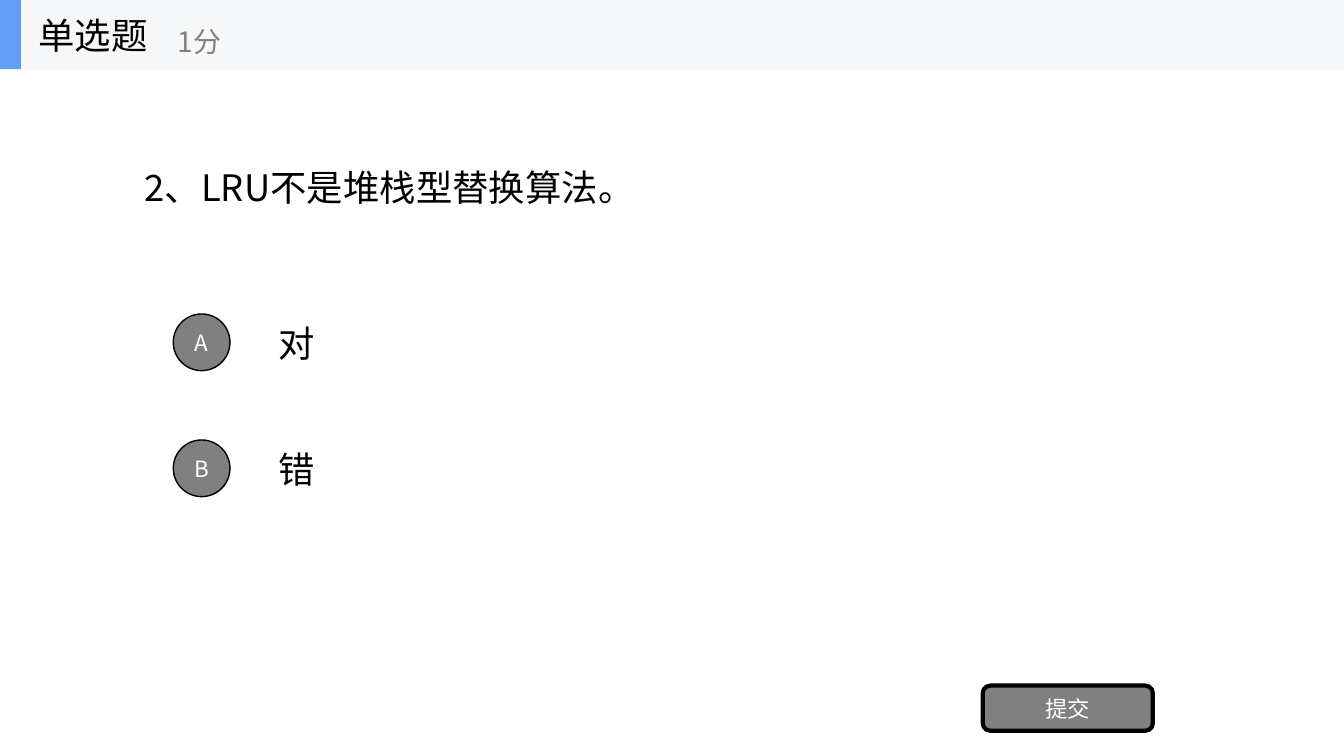
from dataclasses import dataclass

from lxml.etree import SubElement
from pptx import Presentation
from pptx.dml.color import RGBColor
from pptx.enum.shapes import MSO_SHAPE
from pptx.enum.text import MSO_ANCHOR, MSO_AUTO_SIZE, PP_ALIGN
from pptx.oxml.ns import qn
from pptx.util import Emu, Pt

EMU_PER_PX = 9525


def px(length):
    return Emu(length * EMU_PER_PX)


@dataclass(frozen=True)
class Theme:
    font: str = "Noto Sans CJK SC"
    ink: str = "000000"
    gray: str = "808080"
    white: str = "FFFFFF"
    header: str = "F6F7F8"
    accent: str = "639EF4"
    body_size: int = 26
    points_size: int = 20
    button_size: int = 16


class QuizSlide:
    def __init__(self, presentation, theme):
        self.theme = theme
        self.slide = presentation.slides.add_slide(presentation.slide_layouts[5])

    def set_text(self, shape, text, size, color, align=PP_ALIGN.LEFT):
        frame = shape.text_frame
        frame.word_wrap = True
        frame.auto_size = MSO_AUTO_SIZE.NONE
        frame.vertical_anchor = MSO_ANCHOR.MIDDLE
        paragraph = frame.paragraphs[0]
        paragraph.alignment = align
        run = paragraph.add_run()
        run.text = text
        run.font.size = Pt(size)
        run.font.color.rgb = RGBColor.from_string(color)
        run.font.name = self.theme.font
        # East Asian glyphs take their own typeface entry
        SubElement(run._r.get_or_add_rPr(), qn("a:ea"), typeface=self.theme.font)

    def title(self, text, left, top, width, height):
        shape = self.slide.shapes.title
        shape.left, shape.top = px(left), px(top)
        shape.width, shape.height = px(width), px(height)
        self.set_text(shape, text, self.theme.body_size, self.theme.ink)

    def label(self, text, left, top, width, height, size, color):
        box = self.slide.shapes.add_textbox(px(left), px(top), px(width), px(height))
        self.set_text(box, text, size, color)

    def block(self, kind, left, top, width, height, fill):
        shape = self.slide.shapes.add_shape(kind, px(left), px(top), px(width), px(height))
        shape.shadow.inherit = False
        shape.fill.solid()
        shape.fill.fore_color.rgb = RGBColor.from_string(fill)
        shape.line.fill.background()
        return shape

    def button(self, kind, text, left, top, width, height, line_width):
        shape = self.block(kind, left, top, width, height, self.theme.gray)
        shape.line.color.rgb = RGBColor.from_string(self.theme.ink)
        shape.line.width = Pt(line_width)
        frame = shape.text_frame
        frame.margin_left = frame.margin_right = 0
        frame.margin_top = frame.margin_bottom = 0
        self.set_text(shape, text, self.theme.button_size, self.theme.white, PP_ALIGN.CENTER)


def main():
    presentation = Presentation()
    presentation.slide_width, presentation.slide_height = px(1280), px(720)
    theme = Theme()
    quiz = QuizSlide(presentation, theme)

    # Question
    quiz.title("2、LRU不是堆栈型替换算法。", 128, 66, 1024, 225)

    # Answer options
    first_top, pitch = 293, 120
    for index, (letter, answer) in enumerate([("A", "对"), ("B", "错")]):
        top = first_top + index * pitch
        quiz.label(answer, 256, top, 896, 67, theme.body_size, theme.ink)
        quiz.button(MSO_SHAPE.OVAL, letter, 165, top + 6, 54, 54, 1)

    # Submit button
    quiz.button(MSO_SHAPE.ROUNDED_RECTANGLE, "提交", 936, 653, 162, 43, 3)

    # Header bar with question type and points
    quiz.block(MSO_SHAPE.RECTANGLE, 0, 0, 1280, 66, theme.header)
    quiz.block(MSO_SHAPE.RECTANGLE, 0, 0, 20, 66, theme.accent)
    quiz.label("单选题", 27, 0, 200, 66, theme.body_size, theme.ink)
    quiz.label("1分", 160, 12, 240, 54, theme.points_size, theme.gray)

    presentation.save("out.pptx")


if __name__ == "__main__":
    main()
